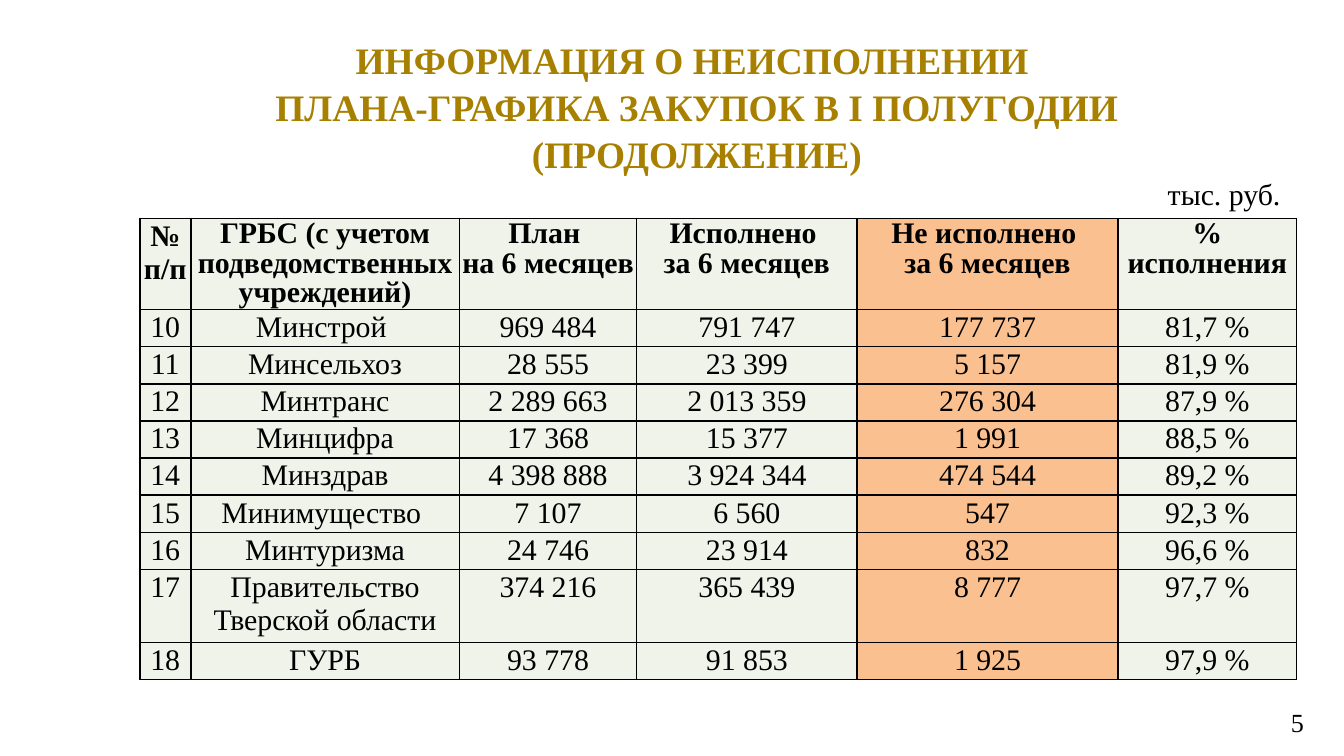
from dataclasses import dataclass

from lxml.etree import SubElement
from pptx import Presentation
from pptx.dml.color import RGBColor
from pptx.enum.text import MSO_ANCHOR, PP_ALIGN
from pptx.oxml.ns import qn
from pptx.util import Pt


@dataclass(frozen=True)
class Theme:
    font: str = "Times New Roman"
    gold: str = "A88000"
    black: str = "000000"
    pale: str = "EFF3EA"
    accent: str = "FAC090"
    title: int = 20
    body: int = 16
    small: int = 14


class Deck:
    def __init__(self, prs, theme):
        self.theme = theme
        self.s = prs.slides.add_slide(prs.slide_layouts[6])

    def add_lines(self, tf, lines, size, color, bold=False, **paragraph_format):
        for i, line in enumerate(lines):
            p = tf.add_paragraph() if i else tf.paragraphs[0]
            for name, value in paragraph_format.items():
                setattr(p, name, value)
            r = p.add_run()
            r.text = line
            font_format = {"name": self.theme.font, "size": Pt(size), "bold": bold}
            for name, value in font_format.items():
                setattr(r.font, name, value)
            r.font.color.rgb = RGBColor.from_string(color)

    def text(self, box, lines, size, color, frame_format, **text_format):
        tf = self.s.shapes.add_textbox(*map(Pt, box)).text_frame
        for name, value in frame_format.items():
            setattr(tf, name, value)
        self.add_lines(tf, lines, size, color, **text_format)

    def borders(self, cell):
        tcPr = cell._tc.get_or_add_tcPr()
        for i, side in enumerate(("lnL", "lnR", "lnT", "lnB")):
            ln = tcPr.makeelement(qn(f"a:{side}"), {"w": str(Pt(1))})
            fill = SubElement(ln, qn("a:solidFill"))
            SubElement(fill, qn("a:srgbClr"), val=self.theme.black)
            tcPr.insert(i, ln)

    def table(self, left, top, widths, heights, rows, accent_column):
        t = self.theme
        sp = self.s.shapes.add_table(len(rows), len(widths), Pt(left), Pt(top),
                                     Pt(sum(widths)), Pt(sum(heights)))
        table = sp.table
        for column, width in zip(table.columns, widths):
            column.width = Pt(width)
        for row, height in zip(table.rows, heights):
            row.height = Pt(height)
        cell_format = {"margin_left": Pt(0.7), "margin_right": Pt(0.7),
                       "margin_top": Pt(0.7), "margin_bottom": 0}
        for i, values in enumerate(rows):
            for j, value in enumerate(values):
                cell = table.cell(i, j)
                for name, setting in cell_format.items():
                    setattr(cell, name, setting)
                cell.fill.solid()
                fill = t.accent if j == accent_column else t.pale
                cell.fill.fore_color.rgb = RGBColor.from_string(fill)
                self.borders(cell)
                header = i == 0
                spacing = Pt(16) if header and j else None
                self.add_lines(cell.text_frame, value.split("\n"), t.body, t.black,
                               bold=header, alignment=PP_ALIGN.CENTER,
                               line_spacing=spacing)


HEADER = ("№ п/п", "ГРБС (с учетом подведомственных учреждений)",
          "План \nна 6 месяцев", "Исполнено \nза 6 месяцев",
          "Не исполнено \nза 6 месяцев", "% исполнения")
MINISTRIES = [
    ("Минстрой ", "969 484", "791 747", "177 737", "81,7 %"),
    ("Минсельхоз", "28 555", "23 399", "5 157", "81,9 %"),
    ("Минтранс", "2 289 663", "2 013 359", "276 304", "87,9 %"),
    ("Минцифра", "17 368", "15 377", "1 991", "88,5 %"),
    ("Минздрав", "4 398 888", "3 924 344", "474 544", "89,2 %"),
    ("Минимущество ", "7 107", "6 560", "547", "92,3 %"),
    ("Минтуризма", "24 746", "23 914", "832", "96,6 %"),
    ("Правительство Тверской области", "374 216", "365 439", "8 777", "97,7 %"),
    ("ГУРБ", "93 778", "91 853", "1 925", "97,9 %"),
]


def main():
    """Build the procurement plan slide and save it."""
    prs = Presentation()
    prs.slide_width, prs.slide_height = Pt(720), Pt(405)
    theme = Theme()
    deck = Deck(prs, theme)
    inset = {"word_wrap": True, "margin_left": Pt(5), "margin_right": Pt(5),
             "margin_top": Pt(2.9), "margin_bottom": Pt(2.9)}
    deck.text((137.5, 15.8, 471.6, 31),
              ["ИНФОРМАЦИЯ О НЕИСПОЛНЕНИИ ",
               "ПЛАНА-ГРАФИКА ЗАКУПОК В I ПОЛУГОДИИ (ПРОДОЛЖЕНИЕ)"],
              theme.title, theme.gold, inset, bold=True,
              alignment=PP_ALIGN.CENTER, line_spacing=1.05)
    deck.text((618.5, 90.7, 75.6, 26.6), ["тыс. руб."], theme.body, theme.black,
              {"word_wrap": False})
    deck.text((664.6, 374.4, 38.9, 24.5), ["5"], theme.small, theme.black,
              inset | {"vertical_anchor": MSO_ANCHOR.MIDDLE}, alignment=PP_ALIGN.RIGHT)
    rows = [HEADER] + [(str(n), *values) for n, values in enumerate(MINISTRIES, 10)]
    heights = [48.7] + [19.8] * 7 + [39, 19.8]
    deck.table(74.9, 117.1, (27.3, 143.9, 95, 118.1, 139.8, 95.7), heights, rows,
               accent_column=4)
    prs.save("out.pptx")


if __name__ == "__main__":
    main()
